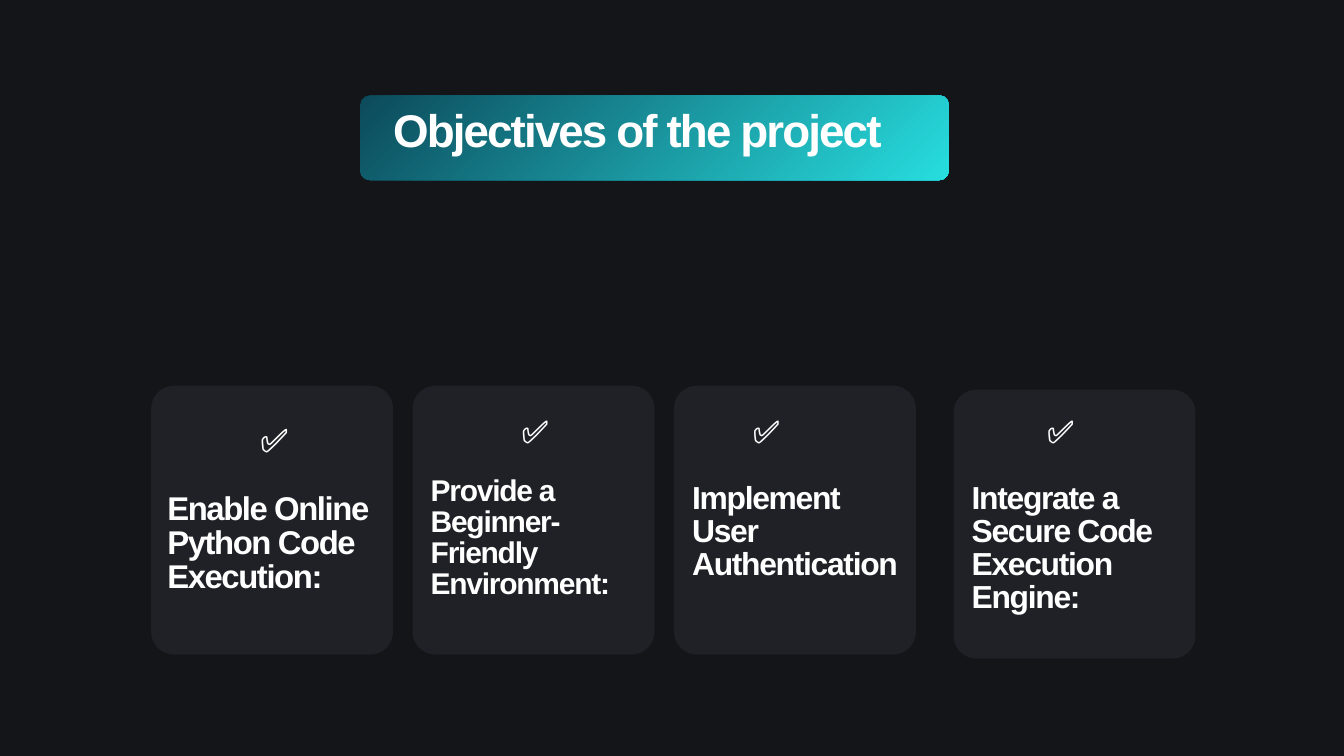
from pptx import Presentation
from pptx.dml.color import RGBColor
from pptx.enum.shapes import MSO_SHAPE
from pptx.util import Inches, Pt

ROUNDED = MSO_SHAPE.ROUNDED_RECTANGLE
BACKGROUND = RGBColor(0x14, 0x15, 0x19)
CARD_FILL = RGBColor(0x20, 0x21, 0x27)
BANNER_START = RGBColor(0x0C, 0x4A, 0x5B)
BANNER_END = RGBColor(0x27, 0xDD, 0xDF)
WHITE = RGBColor(0xFF, 0xFF, 0xFF)

CARD_WIDTH, CARD_HEIGHT, CARD_RADIUS = 3.6, 4, 0.34

TITLE_FORMAT = {"size": 49, "line": 50.9, "tracking": -2}
LARGE_FORMAT = {"size": 35.2, "line": 36.6, "tracking": -1.5}
MEDIUM_FORMAT = {"size": 34.1, "line": 35.4, "tracking": -1.4}
SMALL_FORMAT = {"size": 32.1, "line": 33.4, "tracking": -1.3}

# Card left and top, text box (left, top, width, height), check mark indent,
# check mark format, gap in points, heading, heading format
CARDS = [
    (2.25, 5.74, (2.49, 6.32, 4.3, 2.64), 1.38, LARGE_FORMAT, 36.6,
     "Enable Online Python Code Execution:", LARGE_FORMAT),
    (6.14, 5.74, (6.41, 6.2, 3.06, 3.18), 1.35, MEDIUM_FORMAT, 28.2,
     "Provide a Beginner-Friendly Environment:", SMALL_FORMAT),
    (10.03, 5.74, (10.3, 6.2, 3.2, 2.54), 0.9, MEDIUM_FORMAT, 35.4,
     "Implement User Authentication", MEDIUM_FORMAT),
    (14.19, 5.8, (14.46, 6.2, 3.06, 3.03), 1.12, MEDIUM_FORMAT, 35.4,
     "Integrate a Secure Code Execution Engine:", MEDIUM_FORMAT),
]


def add_panel(slide, left, top, width, height, radius):
    panel = slide.shapes.add_shape(
        ROUNDED, Inches(left), Inches(top), Inches(width), Inches(height))
    panel.adjustments[0] = radius / min(width, height)
    panel.shadow.inherit = False
    panel.line.fill.background()
    return panel


def add_text_frame(slide, left, top, width, height):
    box = slide.shapes.add_textbox(
        Inches(left), Inches(top), Inches(width), Inches(height))
    frame = box.text_frame
    frame.word_wrap = True
    for side in ("left", "top", "right", "bottom"):
        setattr(frame, f"margin_{side}", 0)
    return frame


def write_paragraph(paragraph, text, text_format):
    paragraph.line_spacing = Pt(text_format["line"])
    run = paragraph.add_run()
    run.text = text
    font_values = {"name": "Arial", "size": Pt(text_format["size"]), "bold": True}
    for name, value in font_values.items():
        setattr(run.font, name, value)
    run.font.color.rgb = WHITE
    run.font._element.set("spc", str(round(text_format["tracking"] * 100)))


def add_banner(slide):
    banner = add_panel(slide, 5.36, 1.42, 8.76, 1.26, 0.14)
    banner.fill.gradient()
    banner.fill.gradient_angle = 315
    stops = zip(banner.fill.gradient_stops, (0, 1), (BANNER_START, BANNER_END))
    for stop, position, color in stops:
        stop.position = position
        stop.color.rgb = color
    frame = add_text_frame(slide, 5.85, 1.62, 9.25, 0.83)
    write_paragraph(frame.paragraphs[0], "Objectives of the project", TITLE_FORMAT)


def add_card(slide, left, top, text_area, indent, mark_format, gap,
             heading, heading_format):
    card = add_panel(slide, left, top, CARD_WIDTH, CARD_HEIGHT, CARD_RADIUS)
    card.fill.solid()
    card.fill.fore_color.rgb = CARD_FILL

    frame = add_text_frame(slide, *text_area)
    mark = frame.paragraphs[0]
    write_paragraph(mark, "✅", mark_format)
    properties = mark._p.get_or_add_pPr()
    properties.set("marL", str(Inches(indent)))
    properties.set("indent", "0")

    heading_paragraph = frame.add_paragraph()
    heading_paragraph.space_before = Pt(gap)
    write_paragraph(heading_paragraph, heading, heading_format)


def main():
    presentation = Presentation()
    presentation.slide_width = Inches(20)
    presentation.slide_height = Inches(11.25)
    slide = presentation.slides.add_slide(presentation.slide_layouts[6])
    slide.background.fill.solid()
    slide.background.fill.fore_color.rgb = BACKGROUND

    add_banner(slide)
    for card in CARDS:
        add_card(slide, *card)
    presentation.save("out.pptx")


if __name__ == "__main__":
    main()
